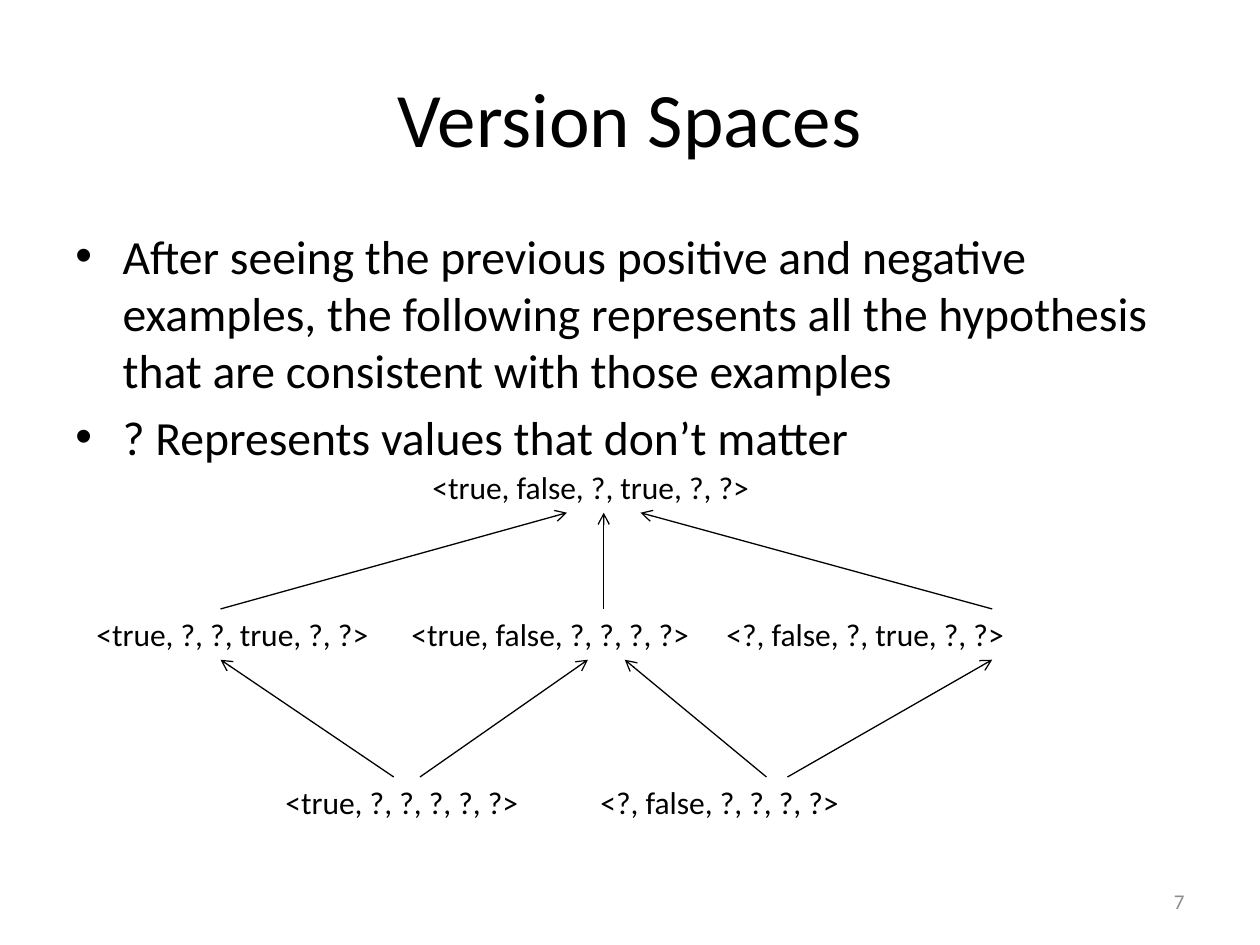
from dataclasses import dataclass
from lxml import etree
from pptx import Presentation
from pptx.dml.color import RGBColor
from pptx.enum.shapes import MSO_CONNECTOR
from pptx.enum.text import MSO_ANCHOR, PP_ALIGN
from pptx.oxml.ns import qn
from pptx.util import Pt

LINE = MSO_CONNECTOR.STRAIGHT
TOP, MIDDLE = MSO_ANCHOR.TOP, MSO_ANCHOR.MIDDLE
LEFT, CENTER, RIGHT = PP_ALIGN.LEFT, PP_ALIGN.CENTER, PP_ALIGN.RIGHT


@dataclass(frozen=True)
class Theme:
    font: str = "Calibri"
    ink: RGBColor = RGBColor(0, 0, 0)
    gray: RGBColor = RGBColor(0x8C, 0x8C, 0x8C)
    title: float = 44
    body: float = 27.2
    node: float = 18
    number: float = 12
    line: float = 0.75


THEME = Theme()


def add_text(slide, box, lines, size, color=THEME.ink, align=LEFT, anchor=TOP):
    frame = slide.shapes.add_textbox(*map(Pt, box)).text_frame
    frame.word_wrap = True
    frame.vertical_anchor = anchor
    frame.text = "\n".join(lines)
    for para in frame.paragraphs:
        para.alignment = align
        para.font.name = THEME.font
        para.font.size = Pt(size)
        para.font.color.rgb = color
    return frame


def add_bullets(slide, box, lines, indent=27):
    frame = add_text(slide, box, lines, THEME.body)
    for para in frame.paragraphs:
        para.space_before = Pt(THEME.body * 0.2)
        props = para._p.get_or_add_pPr()
        props.set("marL", str(Pt(indent)))
        props.set("indent", str(-Pt(indent)))
        font = etree.SubElement(props, qn("a:buFont"))
        font.set("typeface", "Arial")
        mark = etree.SubElement(props, qn("a:buChar"))
        mark.set("char", "•")
        # Schema order puts bullets before the default run properties
        props.append(props.find(qn("a:defRPr")))


def add_arrow(slide, start, end):
    arrow = slide.shapes.add_connector(LINE, *map(Pt, start + end))
    arrow.line.color.rgb = THEME.ink
    arrow.line.width = Pt(THEME.line)
    head = etree.SubElement(arrow.line._get_or_add_ln(), qn("a:tailEnd"))
    head.set("type", "arrow")
    etree.SubElement(arrow._element.spPr, qn("a:effectLst"))


def add_lattice(slide, box):
    left, top, width, height = box
    row = 29
    levels = (0, 84, height - row)

    # Hypotheses from general to specific: left edge, width, text
    rows = (
        (192, 210, "<true, false, ?, true, ?, ?>"),
        (0, width, "<true, ?, ?, true, ?, ?>\t<true, false, ?, ?, ?, ?>"
                   "\t<?, false, ?, true, ?, ?>"),
        (108, 444, "<true, ?, ?, ?, ?, ?>\t\t<?, false, ?, ?, ?, ?>"),
    )
    for level, (x, wide, text) in zip(levels, rows):
        add_text(slide, (left + x, top + level, wide, row), [text], THEME.node)

    # Arrows from each row up to the one above: start x, end x
    links = (
        ((78, 276), (519, 318), (297, 297)),
        ((177, 78), (192, 288), (390, 309), (402, 519)),
    )
    for upper, lower, pairs in zip(levels, levels[1:], links):
        for start, end in pairs:
            add_arrow(slide, (left + start, top + lower),
                      (left + end, top + upper + row))


def main():
    deck = Presentation()
    deck.slide_width, deck.slide_height = Pt(720), Pt(540)
    slide = deck.slides.add_slide(deck.slide_layouts[6])

    # Title
    add_text(slide, (36, 21.6, 648, 90), ["Version Spaces"], THEME.title,
             align=CENTER, anchor=MIDDLE)

    # Explanation
    add_bullets(slide, (36, 126, 648, 138), [
        "After seeing the previous positive and negative examples, the "
        "following represents all the hypothesis that are consistent with "
        "those examples",
        "? Represents values that don’t matter",
    ])

    # Version space
    add_lattice(slide, (48, 264, 618, 209))

    # Slide number
    add_text(slide, (516, 500.5, 168, 28.75), ["7"], THEME.number,
             THEME.gray, RIGHT, MIDDLE)
    deck.save("out.pptx")


if __name__ == "__main__":
    main()
